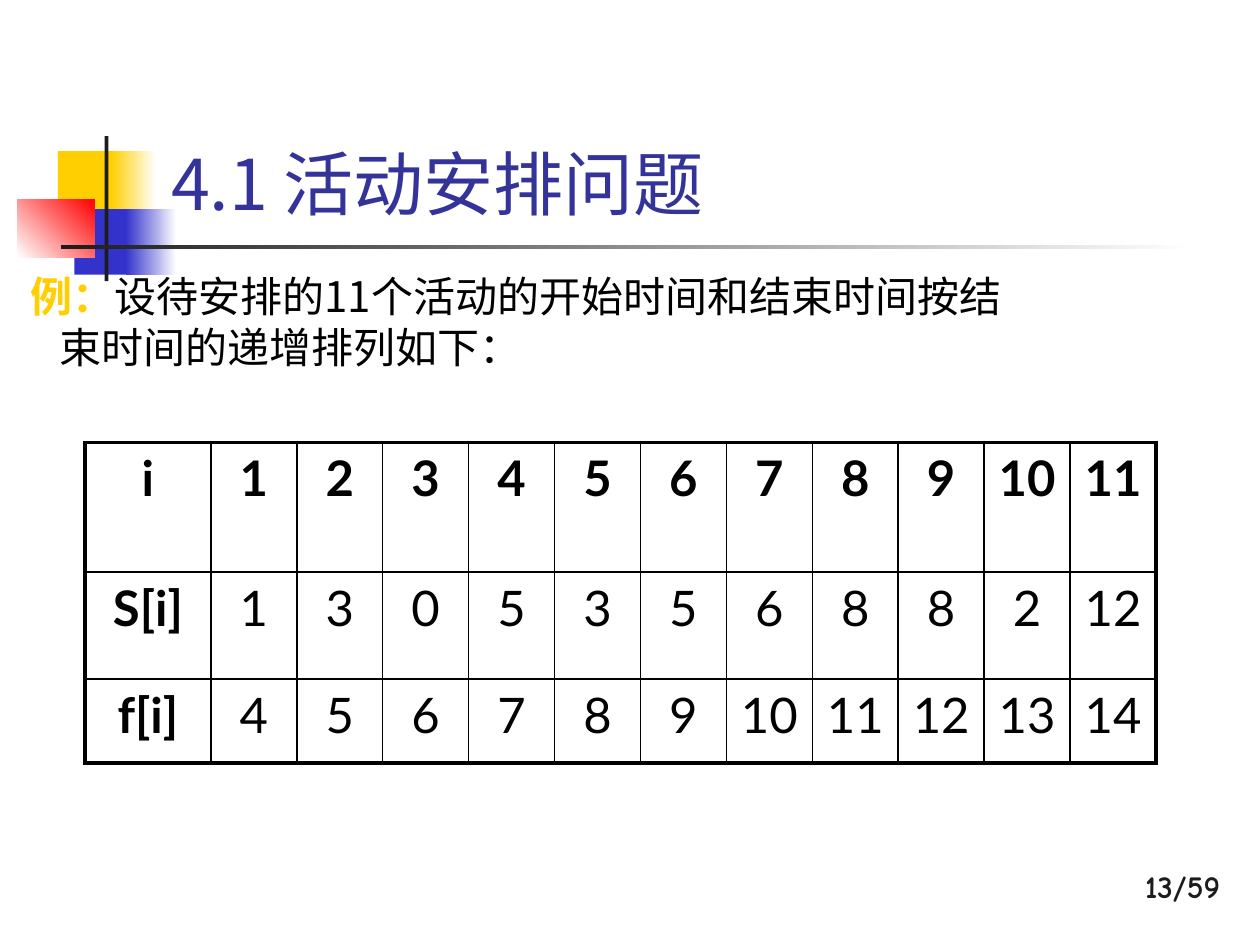
import pptx
import pptx.util
import pptx.dml.color
import pptx.enum.shapes
import pptx.enum.text
import pptx.oxml
import pptx.oxml.ns

Pt = pptx.util.Pt
RGB = pptx.dml.color.RGBColor
ALIGN = pptx.enum.text.PP_ALIGN
ANCHOR = pptx.enum.text.MSO_ANCHOR

GOLD = RGB(0xFF, 0xCF, 0x01)
BLUE = RGB(0x33, 0x33, 0xCC)
NAVY = RGB(0x33, 0x33, 0x99)
RED = RGB(0xFF, 0x00, 0x00)
DARK = RGB(0x1C, 0x1C, 0x1C)
BLACK = RGB(0x00, 0x00, 0x00)
WHITE = RGB(0xFF, 0xFF, 0xFF)

SANS, LATO, COMIC = "Noto Sans CJK SC", "Lato", "Comic Neue"
THIN, THICK = 1, 2.25

BLOCKS = [
    ((33.1, 86.4, 34.6, 37.4), (GOLD,), 0),
    ((63.4, 86.4, 25.9, 37.4), (GOLD, WHITE), 0),
    ((42.5, 119.5, 33.1, 37.4), (BLUE,), 0),
    ((72, 119.5, 28.8, 37.4), (BLUE, WHITE), 0),
    ((10.1, 113.8, 43.9, 33.1), (WHITE, RED), 45),
    ((59.8, 77.8, 2.2, 82.8), (DARK,), 0),
    ((34.6, 140.1, 648, 2.5), (DARK, WHITE), 0),
]
TITLE = [("4.1 活动安排问题", NAVY, False)]
TASK = [
    ("例：", GOLD, True),
    ("设待安排的11个活动的开始时间和结束时间按结束时间的递增排列如下：", BLACK, False),
]
PAGE = [("13/59", DARK, True)]
ROWS = [
    ("i", range(1, 12)),
    ("S[i]", (1, 3, 0, 5, 3, 5, 6, 8, 8, 2, 12)),
    ("f[i]", range(4, 15)),
]
WIDTHS = [72] + [49.1] * 11
HEIGHTS = [74.2, 61.2, 47.8]


def write(frame, runs, size, font, align=ALIGN.LEFT, before=0, left=0, first=0):
    para = frame.paragraphs[0]
    para.alignment = align
    para.space_before = Pt(before)
    if left:
        props = para._p.get_or_add_pPr()
        props.set("marL", str(Pt(left)))
        props.set("indent", str(Pt(first)))
    for text, color, bold in runs:
        run = para.add_run()
        run.text = text
        run.font.size = Pt(size)
        run.font.name = font
        run.font.bold = bold
        run.font.color.rgb = color
        east = pptx.oxml.parse_xml(
            f'<a:ea {pptx.oxml.ns.nsdecls("a")} typeface="{font}"/>')
        run.font._element.find(pptx.oxml.ns.qn("a:latin")).addnext(east)


def add_block(slide, box, colors, angle):
    block = slide.shapes.add_shape(
        pptx.enum.shapes.MSO_SHAPE.RECTANGLE, *map(Pt, box))
    block.shadow.inherit = False
    block.line.fill.background()
    if len(colors) == 1:
        block.fill.solid()
        block.fill.fore_color.rgb = colors[0]
        return
    block.fill.gradient()
    block.fill.gradient_angle = angle
    for stop, color in zip(block.fill.gradient_stops, colors):
        stop.color.rgb = color


def add_text(slide, box, runs, size, font, anchor=ANCHOR.TOP, **style):
    frame = slide.shapes.add_textbox(*map(Pt, box)).text_frame
    frame.word_wrap = True
    frame.vertical_anchor = anchor
    write(frame, runs, size, font, **style)


def set_edges(cell, edges):
    props = cell._tc.get_or_add_tcPr()
    for spot, (side, width) in enumerate(edges.items()):
        props.insert(spot, pptx.oxml.parse_xml(
            f'<a:ln{side} {pptx.oxml.ns.nsdecls("a")} w="{Pt(width)}">'
            f'<a:solidFill><a:srgbClr val="{BLACK}"/></a:solidFill></a:ln{side}>'))


def add_grid(slide):
    last_row, last_col = len(ROWS) - 1, len(WIDTHS) - 1
    table = slide.shapes.add_table(
        len(ROWS), len(WIDTHS), Pt(48.5), Pt(252.7),
        Pt(sum(WIDTHS)), Pt(sum(HEIGHTS))).table
    table.first_row = table.horz_banding = False
    for col, width in zip(table.columns, WIDTHS):
        col.width = Pt(width)
    for row, height in zip(table.rows, HEIGHTS):
        row.height = Pt(height)
    for r, (head, values) in enumerate(ROWS):
        for c, value in enumerate([head, *values]):
            cell = table.cell(r, c)
            cell.fill.background()
            write(cell.text_frame, [(str(value), BLACK, r == 0 or c == 0)],
                  28, LATO, align=ALIGN.CENTER, before=5.6)
            set_edges(cell, {
                "L": THICK if c == 0 else THIN,
                "R": THICK if c == last_col else THIN,
                "T": THICK if r == 0 else THIN,
                "B": THICK if r == last_row else THIN,
            })


def main():
    deck = pptx.Presentation()
    deck.slide_width, deck.slide_height = Pt(720), Pt(540)
    slide = deck.slides.add_slide(deck.slide_layouts[6])
    for box, colors, angle in BLOCKS:
        add_block(slide, box, colors, angle)
    add_text(slide, (90.7, 16.6, 613.4, 115.2), TITLE, 40, SANS,
             anchor=ANCHOR.BOTTOM)
    add_grid(slide)
    add_text(slide, (0, 151.2, 595.4, 85.7), TASK, 24, SANS,
             before=4.8, left=27, first=-16.5)
    add_text(slide, (554.4, 491.8, 149.8, 36), PAGE, 18, COMIC,
             align=ALIGN.RIGHT)
    deck.save("out.pptx")


if __name__ == "__main__":
    main()
